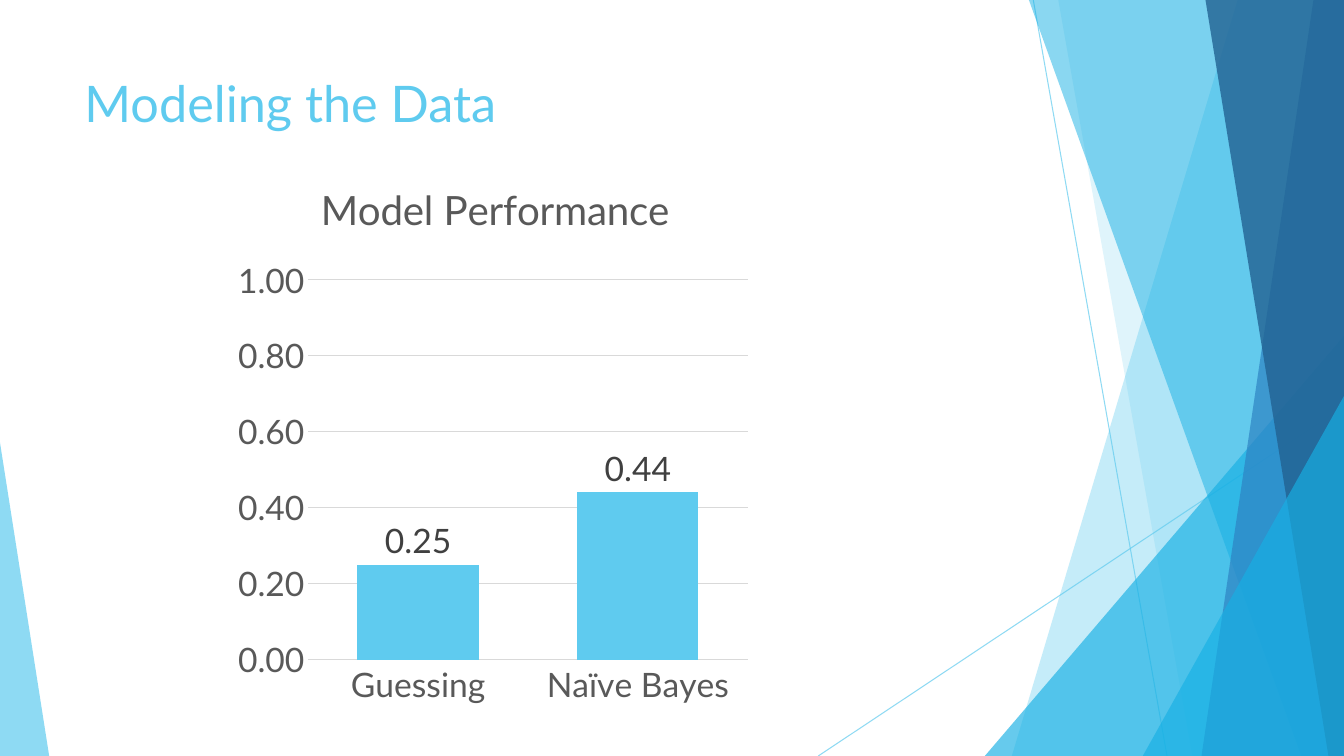
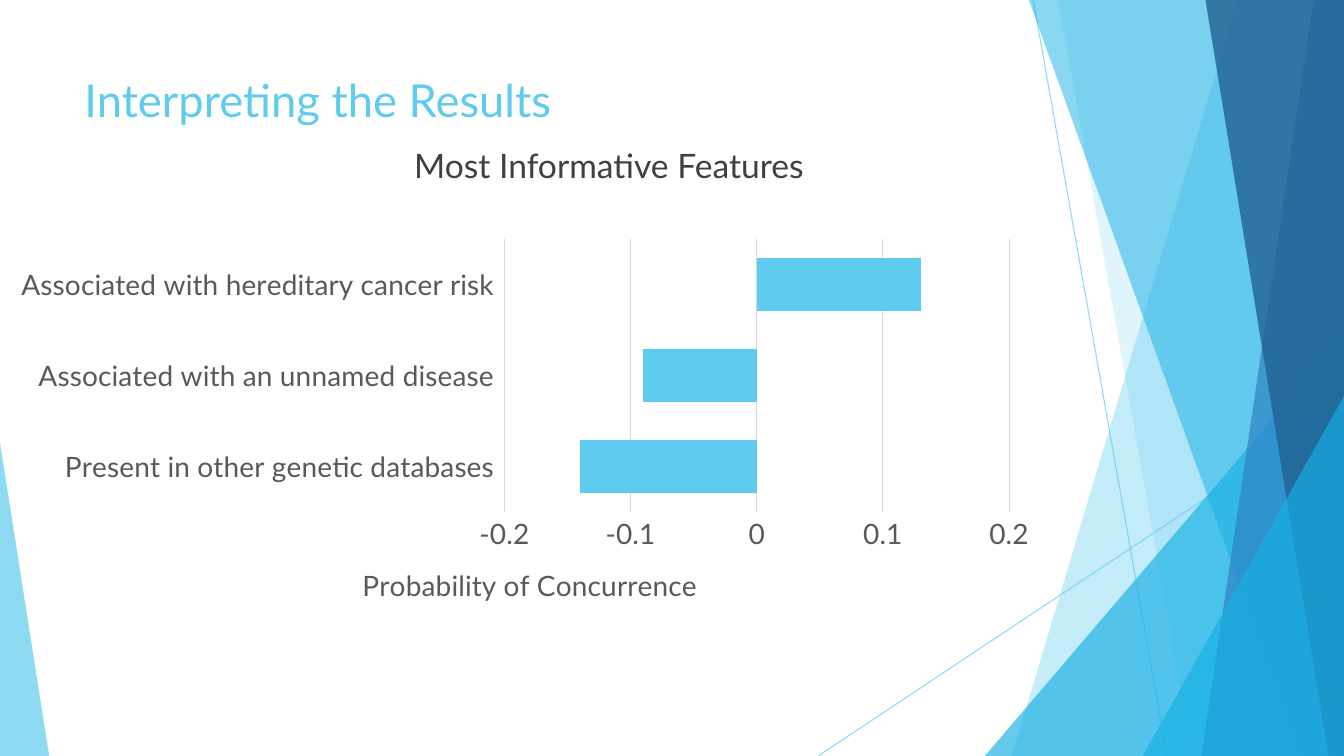
from dataclasses import dataclass
from typing import Optional

from lxml.etree import SubElement
from pptx import Presentation
from pptx.chart.data import CategoryChartData
from pptx.dml.color import RGBColor
from pptx.enum.chart import XL_CHART_TYPE, XL_LABEL_POSITION, XL_TICK_LABEL_POSITION, XL_TICK_MARK
from pptx.enum.shapes import MSO_CONNECTOR, MSO_SHAPE
from pptx.enum.text import MSO_ANCHOR
from pptx.oxml.ns import qn
from pptx.util import Cm, Pt

FONT = "Lato"
COLORS = {
    "sky": "5FCBEF",
    "cyan": "17B0E4",
    "blue": "2E83C3",
    "navy": "226292",
    "text": "404040",
    "axis": "595959",
    "grid": "D9D9D9",
}
WIDTH, HEIGHT = 33.87, 19.05


@dataclass
class Ray:
    """Thin line, ends in cm."""
    x1: float
    y1: float
    x2: float
    y2: float


@dataclass
class Band:
    """Band from a slanted left edge to the right side of the slide."""
    top_x: float
    bottom_x: float
    color: str
    alpha: int


@dataclass
class Corner:
    """Right triangle standing on the bottom of the slide."""
    x: float
    w: float
    h: float
    apex: int
    color: str
    alpha: int


@dataclass
class ChartSpec:
    kind: XL_CHART_TYPE
    box: tuple[float, float, float, float]
    cats: list[str]
    vals: list[float]
    size: float
    gap: int
    overlap: int
    scale: tuple[float, float, float]
    number_format: str
    plot_box: tuple[float, float, float, float]
    title: Optional[str] = None
    axis_title: Optional[str] = None
    title_at: tuple[float, float] = (0, 0)
    labels: bool = False


# Background, from back to front
RAYS = [Ray(26.04, 0, 29.41, HEIGHT), Ray(WIDTH, 10.24, 20.62, HEIGHT)]
FACETS = [
    Band(31.19, 25.5, "sky", 36),
    Band(26.67, 30.05, "sky", 20),
    Corner(24.82, 9.05, 10.59, 1, "cyan", 66),
    Band(25.93, 32.79, "cyan", 50),
    Band(33.1, 30.28, "blue", 70),
    Band(30.38, 33.48, "navy", 80),
    Corner(28.8, 5.07, 9.07, 1, "cyan", 66),
    Corner(0, 1.24, 7.9, 0, "sky", 70),
]

PERFORMANCE = ChartSpec(
    XL_CHART_TYPE.COLUMN_CLUSTERED, (5.77, 3.96, 13.34, 14.07),
    ["Guessing", "Naïve Bayes"], [0.25, 0.44],
    24, 81, -27, (0, 1, 0.2), "0.00", (0.15, 0.22, 0.83, 0.68),
    title="Model Performance", title_at=(0.16, 0.03), labels=True,
)
FEATURES = ChartSpec(
    XL_CHART_TYPE.BAR_CLUSTERED, (0, 5.82, 26.49, 9.98),
    ["Present in other genetic databases", "Associated with an unnamed disease",
     "Associated with hereditary cancer risk"], [-0.14, -0.09, 0.13],
    20, 72, 0, (-0.2, 0.2, 0.1), "General", (0.48, 0.02, 0.48, 0.69),
    axis_title="Probability of Concurrence", title_at=(0.34, 0.83),
)


def rgb(name: str) -> RGBColor:
    return RGBColor.from_string(COLORS[name])


def set_alpha(sp, percent: int) -> None:
    for color in sp.element.xpath("./p:spPr//a:srgbClr"):
        SubElement(color, qn("a:alpha")).set("val", str(percent * 1000))


def style_font(font, size: float, color: str) -> None:
    font.name, font.size, font.bold = FONT, Pt(size), False
    font.color.rgb = rgb(color)


def add_ray(s, ray: Ray) -> None:
    line = s.shapes.add_connector(
        MSO_CONNECTOR.STRAIGHT, Cm(ray.x1), Cm(ray.y1), Cm(ray.x2), Cm(ray.y2))
    line.line.color.rgb = rgb("sky")
    line.line.width = Pt(0.75)
    set_alpha(line, 70)
    SubElement(line.element.spPr, qn("a:effectLst"))


def add_facet(s, facet: Band | Corner) -> None:
    if isinstance(facet, Band):
        outline = s.shapes.build_freeform(Cm(facet.top_x), 0)
        outline.add_line_segments([
            (Cm(WIDTH), 0), (Cm(WIDTH), Cm(HEIGHT)), (Cm(facet.bottom_x), Cm(HEIGHT))])
        sp = outline.convert_to_shape()
    else:
        sp = s.shapes.add_shape(
            MSO_SHAPE.ISOSCELES_TRIANGLE, Cm(facet.x), Cm(HEIGHT - facet.h),
            Cm(facet.w), Cm(facet.h))
        sp.adjustments[0] = facet.apex
    sp.shadow.inherit = False
    sp.fill.solid()
    sp.fill.fore_color.rgb = rgb(facet.color)
    sp.line.fill.background()
    set_alpha(sp, facet.alpha)


def add_text(s, text: str, box: tuple[float, float, float, float],
             size: float, color: str) -> None:
    tf = s.shapes.add_textbox(*map(Cm, box)).text_frame
    tf.word_wrap = True
    tf.vertical_anchor = MSO_ANCHOR.TOP
    tf.text = text
    style_font(tf.paragraphs[0].runs[0].font, size, color)


def place(chart, xpath: str, **fractions: float) -> None:
    """Fix a chart part at fractions of the chart area."""
    parent = chart._chartSpace.xpath(xpath)[0]
    for old in parent.findall(qn("c:layout")):
        parent.remove(old)
    layout = SubElement(parent, qn("c:layout"))
    manual = SubElement(layout, qn("c:manualLayout"))
    if "w" in fractions:
        SubElement(manual, qn("c:layoutTarget")).set("val", "inner")
    for mode in ("xMode", "yMode"):
        SubElement(manual, qn(f"c:{mode}")).set("val", "edge")
    for key, value in fractions.items():
        SubElement(manual, qn(f"c:{key}")).set("val", str(value))
    parent.insert(len(parent.findall(qn("c:tx"))), layout)


def set_title(owner, text: str, size: float) -> None:
    tf = owner.text_frame
    tf.text = text
    style_font(tf.paragraphs[0].runs[0].font, size, "axis")


def add_chart(s, c: ChartSpec) -> None:
    data = CategoryChartData()
    data.categories = c.cats
    data.add_series("Series 1", c.vals)
    chart = s.shapes.add_chart(c.kind, *map(Cm, c.box), data).chart
    style_font(chart.font, c.size, "axis")
    chart.has_legend = False
    chart.has_title = c.title is not None

    # Bars and their labels
    plot = chart.plots[0]
    plot.gap_width, plot.overlap, plot.vary_by_categories = c.gap, c.overlap, False
    bars = plot.series[0]
    bars.invert_if_negative = False
    bars.format.fill.solid()
    bars.format.fill.fore_color.rgb = rgb("sky")
    if c.labels:
        plot.has_data_labels = True
        labels = plot.data_labels
        labels.show_value = True
        labels.position = XL_LABEL_POSITION.OUTSIDE_END
        labels.number_format, labels.number_format_is_linked = c.number_format, False
        style_font(labels.font, c.size, "text")

    # Axes
    cat, val = chart.category_axis, chart.value_axis
    for axis in (cat, val):
        axis.major_tick_mark = axis.minor_tick_mark = XL_TICK_MARK.NONE
        style_font(axis.tick_labels.font, c.size, "axis")
    if min(c.vals) < 0:
        cat.tick_label_position = XL_TICK_LABEL_POSITION.LOW
    val.minimum_scale, val.maximum_scale, val.major_unit = c.scale
    val.tick_labels.number_format = c.number_format
    val.tick_labels.number_format_is_linked = False
    val.format.line.fill.background()
    val.has_major_gridlines = True
    for line in (cat.format.line, val.major_gridlines.format.line):
        line.color.rgb = rgb("grid")
        line.width = Pt(0.75)

    # Titles and layout
    x, y = c.title_at
    if c.title:
        set_title(chart.chart_title, c.title, c.size * 1.2)
        place(chart, "c:chart/c:title", x=x, y=y)
    if c.axis_title:
        set_title(val.axis_title, c.axis_title, c.size)
        place(chart, "c:chart/c:plotArea/c:valAx/c:title", x=x, y=y)
    place(chart, "c:chart/c:plotArea", **dict(zip("xywh", c.plot_box)))


def add_slide(prs, title: str, size: float, height: float, chart: ChartSpec):
    s = prs.slides.add_slide(prs.slide_layouts[6])
    for ray in RAYS:
        add_ray(s, ray)
    for facet in FACETS:
        add_facet(s, facet)
    add_text(s, title, (1.88, 1.7, 23.88, height), size, "sky")
    add_chart(s, chart)
    return s


def main() -> None:
    prs = Presentation()
    prs.slide_width, prs.slide_height = Cm(WIDTH), Cm(HEIGHT)
    add_slide(prs, "Modeling the Data", 36, 3.66, PERFORMANCE)
    s = add_slide(prs, "Interpreting the Results", 32.4, 1.57, FEATURES)
    add_text(s, "Most Informative Features", (10.19, 3.53, 11.18, 1.07), 24, "text")
    prs.save("out.pptx")


if __name__ == "__main__":
    main()
